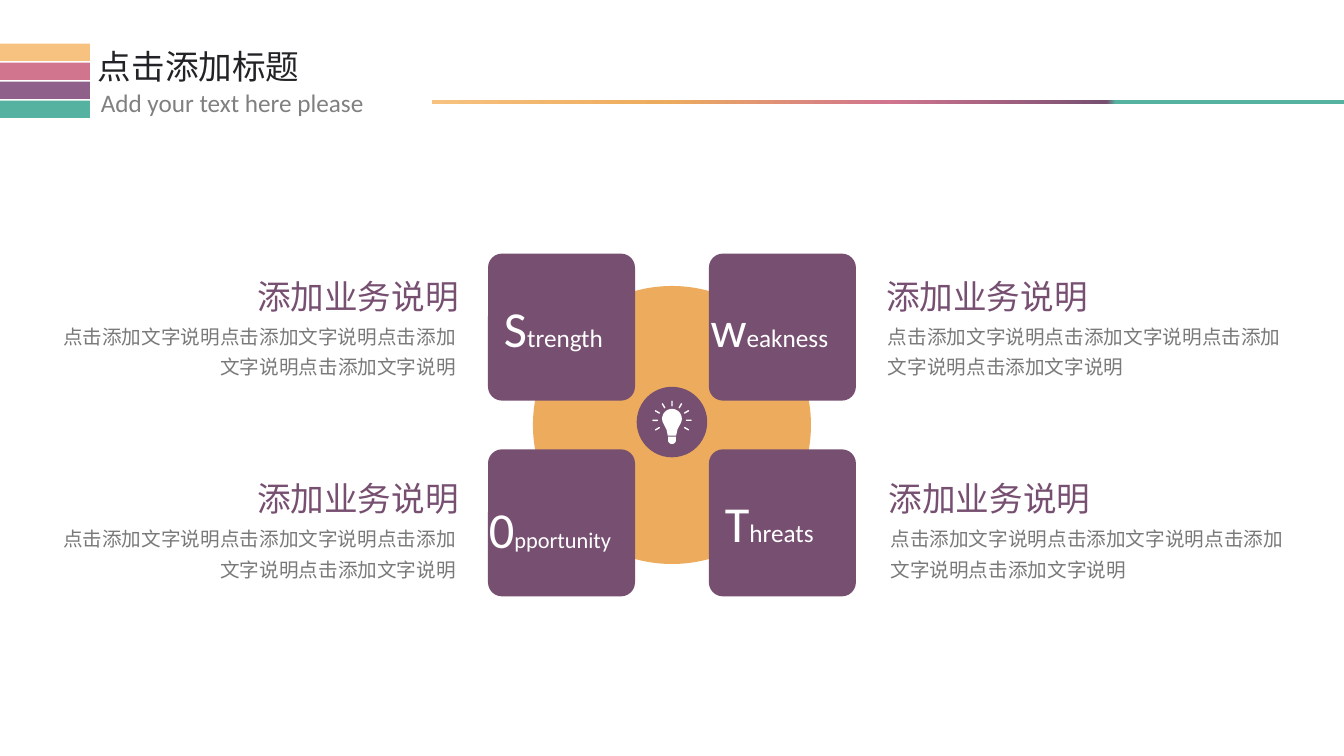
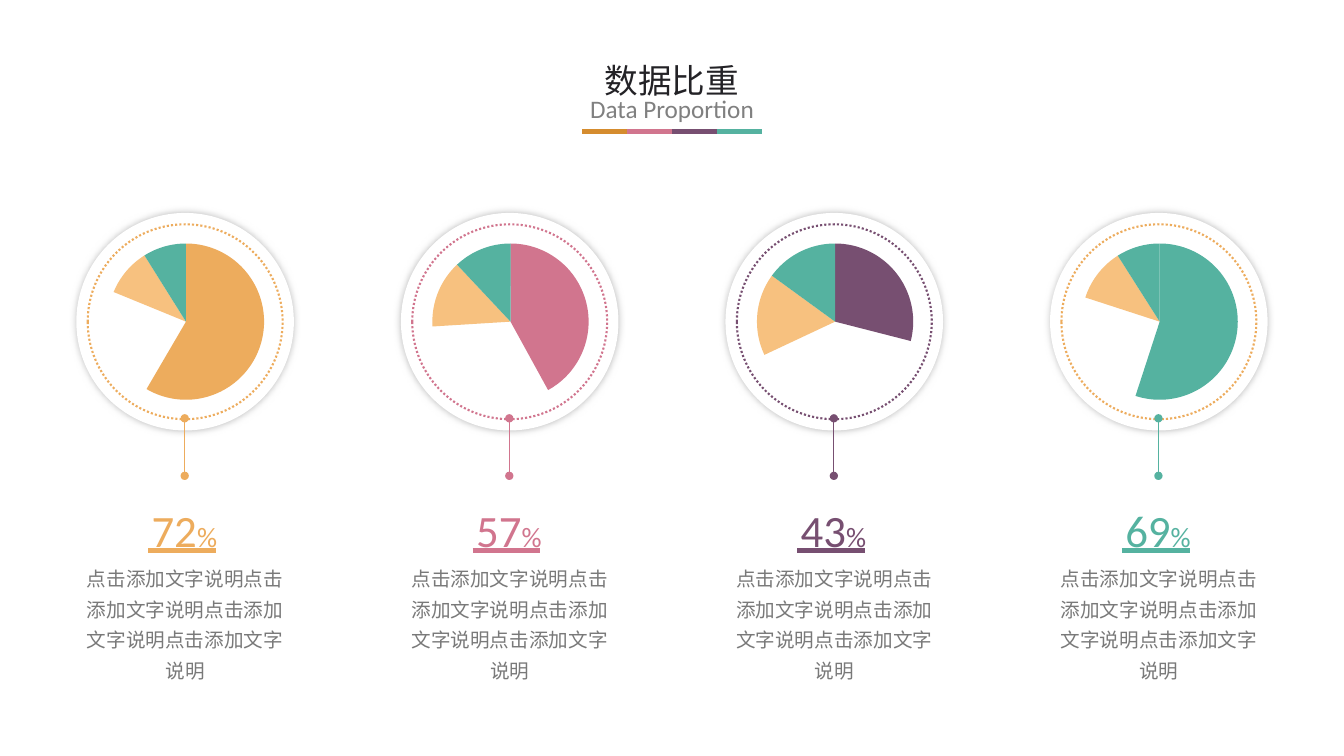
"""Builds a SWOT slide and a data proportion slide."""
import math

from lxml import etree
from pptx import Presentation
from pptx.chart.data import CategoryChartData
from pptx.dml.color import RGBColor
from pptx.enum.chart import XL_CHART_TYPE
from pptx.enum.dml import MSO_LINE
from pptx.enum.shapes import MSO_CONNECTOR, MSO_SHAPE
from pptx.enum.text import MSO_AUTO_SIZE, PP_ALIGN
from pptx.oxml.ns import qn
from pptx.util import Emu, Inches, Pt

PIE = XL_CHART_TYPE.PIE
DOTTED = MSO_LINE.ROUND_DOT
STRAIGHT = MSO_CONNECTOR.STRAIGHT
RECT, ROUNDED, OVAL = MSO_SHAPE.RECTANGLE, MSO_SHAPE.ROUNDED_RECTANGLE, MSO_SHAPE.OVAL
GROW = MSO_AUTO_SIZE.SHAPE_TO_FIT_TEXT
LEFT, CENTER, RIGHT = PP_ALIGN.LEFT, PP_ALIGN.CENTER, PP_ALIGN.RIGHT

WIDTH, HEIGHT = Inches(13.333), Inches(7.5)
COLUMNS, ROWS = 160, 90
MIDDLE = COLUMNS / 2
LATIN, HAN, CHART_FONT = "Calibri", "Noto Sans CJK SC", "Arial"
COLORS = {
    "apricot": "F7C17F", "orange": "EDAC5D", "amber": "D58C2E",
    "pink": "D1758E", "mauve": "8F608A", "purple": "774F71",
    "teal": "55B2A0", "ink": "232226", "gray": "808080",
    "body": "797979", "shadow": "BFBFBF", "white": "FFFFFF",
}
HEADING = "添加业务说明"
DESCRIPTION = "点击添加文字说明" * 4


def across(columns):
    """Turn grid columns into a length."""
    return Emu(round(WIDTH * columns / COLUMNS))


def down(rows):
    """Turn grid rows into a length."""
    return Emu(round(HEIGHT * rows / ROWS))


def frame(left, top, width, height):
    """Turn a grid area into a position and size."""
    return across(left), down(top), across(width), down(height)


def centered(x, y, width, height):
    """Return the grid area of a given size around a point."""
    return x - width / 2, y - height / 2, width, height


def rgb(color):
    """Look a colour up by name."""
    return RGBColor.from_string(COLORS[color])


def add_child(parent, tag, **attributes):
    """Append an XML element to its parent."""
    child = etree.SubElement(parent, qn(tag))
    for name, value in attributes.items():
        child.set(name, str(value))
    return child


def paint(shape, color):
    """Give a shape a plain fill without outline or shadow."""
    shape.shadow.inherit = False
    shape.line.fill.background()
    if color:
        shape.fill.solid()
        shape.fill.fore_color.rgb = rgb(color)
    else:
        shape.fill.background()
    return shape


def add_block(page, kind, area, color):
    """Add a preset shape."""
    return paint(page.shapes.add_shape(kind, *frame(*area)), color)


def add_text(page, area, spans, font, color, align=LEFT, spacing=None):
    """Add a one-paragraph text box from (text, size) spans."""
    box = page.shapes.add_textbox(*frame(*area))
    text = box.text_frame
    text.word_wrap = True
    text.auto_size = GROW
    text.margin_left = text.margin_right = Inches(0.05)
    text.margin_top = text.margin_bottom = Inches(0.05)
    para = text.paragraphs[0]
    para.alignment = align
    if spacing:
        para.line_spacing = spacing
    for words, size in spans:
        span = para.add_run()
        span.text = words
        span.font.size = Pt(size)
        span.font.color.rgb = rgb(color)
        span.font.name = font
        add_child(span.font._element, "a:ea", typeface=font)


def add_description(page, area, align):
    """Add the gray explanatory text."""
    add_text(page, area, [(DESCRIPTION, 14)], HAN, "body", align, 1.3)


def add_titles(page, title, title_area, subtitle, subtitle_area, align):
    """Add the slide title and its subtitle."""
    add_text(page, title_area, [(title, 24)], HAN, "ink", align)
    add_text(page, subtitle_area, [(subtitle, 18)], LATIN, "gray", align)


def add_line(page, start, end, color, weight, dots=False):
    """Add a straight line, with round ends when dots is set."""
    line = page.shapes.add_connector(
        STRAIGHT, across(start[0]), down(start[1]), across(end[0]), down(end[1]))
    line.line.color.rgb = rgb(color)
    line.line.width = Pt(weight)
    properties = line.element.spPr
    if dots:
        outline = properties.find(qn("a:ln"))
        add_child(outline, "a:headEnd", type="oval")
        add_child(outline, "a:tailEnd", type="oval")
    add_child(properties, "a:effectLst")


def add_rainbow(page, area, stops):
    """Add a bar with a horizontal gradient."""
    bar = add_block(page, RECT, area, None)
    bar.fill.gradient()
    bar.fill.gradient_angle = 0
    stop_list = bar.element.spPr.find(".//" + qn("a:gsLst"))
    for stop in list(stop_list):
        stop_list.remove(stop)
    for share, color in stops:
        stop = add_child(stop_list, "a:gs", pos=share * 1000)
        add_child(stop, "a:srgbClr", val=COLORS[color])


def add_outline(page, center, radius, angles, corners):
    """Add a white outline made of an arc closed through corner points."""
    x, y = center
    turns = [math.radians(angle) for angle in range(*angles, 5)]
    points = [(x + radius * math.cos(turn), y + radius * math.sin(turn)) for turn in turns]
    points += [(x + dx, y + dy) for dx, dy in corners]
    points = [(across(px), down(py)) for px, py in points]
    builder = page.shapes.build_freeform(*points[0], scale=1.0)
    builder.add_line_segments(points[1:], close=True)
    paint(builder.convert_to_shape(), "white")


def add_bulb(page):
    """Add the shining light bulb in its purple disc."""
    add_block(page, OVAL, centered(MIDDLE, 50.25, 8.4, 8.4), "purple")
    add_outline(page, (MIDDLE, 49.85), 1.17, (-210, 35), [(0.65, 1.3), (0.5, 2), (-0.5, 2), (-0.65, 1.3)])
    add_outline(page, (MIDDLE, 52.4), 0.47, (0, 185), [(-0.47, -0.42), (0.47, -0.42)])
    for angle in range(-120, 121, 30):
        turn = math.radians(angle)
        x, y = MIDDLE + 2 * math.sin(turn), 50.04 - 2 * math.cos(turn)
        ray = add_block(page, ROUNDED, centered(x, y, 0.16, 0.67), "white")
        ray.adjustments[0] = 0.5
        ray.rotation = angle


def add_card(page, left, top, label_area, initial, rest, size):
    """Add a purple card with its initial and the rest of the word."""
    card = add_block(page, ROUNDED, (left, top, 17.5, 17.5), "purple")
    card.adjustments[0] = 0.095
    add_text(page, label_area, [(initial, 36), (rest, size)], LATIN, "white")


def add_note(page, heading_left, heading_width, body_left, top, align):
    """Add a heading with the description below it."""
    add_text(page, (heading_left, top, heading_width, 6.7), [(HEADING, 24)], HAN, "purple", align)
    add_description(page, (body_left, top + 5, 50.3, 8.9), align)


def add_pie(page, area, values, colors):
    """Add a pie chart whose slices take the given colours."""
    data = CategoryChartData()
    data.categories = ["1", "2", "", ""]
    data.add_series("Series 1", values)
    chart = page.shapes.add_chart(PIE, *frame(*area), data).chart
    chart.has_legend = False
    chart.has_title = False
    chart.font.size = Pt(10)
    chart.font.name = CHART_FONT
    chart.font.color.rgb = rgb("white")
    plot = chart.plots[0]
    plot.vary_by_categories = False
    series = plot.series[0]
    parts = [series] + [series.points[index] for index in range(len(values))]
    for part, color in zip(parts, [colors[0], *colors]):
        part.format.line.fill.background()
        if color:
            part.format.fill.solid()
            part.format.fill.fore_color.rgb = rgb(color)
        else:
            part.format.fill.background()
    clear_chart_frame(chart)


def clear_chart_frame(chart):
    """Make the chart area transparent and let the plot fill it."""
    space = chart.element
    look = add_child(space, "c:spPr")
    add_child(look, "a:noFill")
    add_child(add_child(look, "a:ln"), "a:noFill")
    space.find(qn("c:chart")).addnext(look)
    plot_area = space.find(".//" + qn("c:plotArea"))
    for old in plot_area.findall(qn("c:layout")):
        plot_area.remove(old)
    layout = add_child(plot_area, "c:layout")
    manual = add_child(layout, "c:manualLayout")
    settings = [("layoutTarget", "inner"), ("xMode", "edge"), ("yMode", "edge"),
                ("x", 0.005), ("y", 0.005), ("w", 0.99), ("h", 0.99)]
    for name, value in settings:
        add_child(manual, "c:" + name, val=value)
    plot_area.insert(0, layout)


def add_gauge(page, x, percent, color, ring_color, values):
    """Add one column: pie in a dotted ring, stem, percentage and text."""
    y = 38.3
    disc = add_block(page, OVAL, centered(x, y, 25.9, 25.9), "white")
    effects = disc.element.spPr.find(qn("a:effectLst"))
    shadow = add_child(effects, "a:outerShdw", blurRad=Pt(5), dist=0, dir=0, algn="ctr", rotWithShape=0)
    add_child(shadow, "a:srgbClr", val=COLORS["shadow"])
    add_pie(page, centered(x + 0.1, y, 18.8, 18.8), values, [color, None, "apricot", "teal"])
    ring = add_block(page, OVAL, centered(x, y, 23.2, 23.2), None)
    ring.line.color.rgb = rgb(ring_color)
    ring.line.width = Pt(1.5)
    ring.line.dash_style = DOTTED
    add_line(page, (x - 0.05, 49.8), (x - 0.05, 56.65), color, 0.5, dots=True)
    add_text(page, (x - 15.3, 59.3, 30.4, 7.6), [(percent, 32), ("%", 20)], LATIN, color, CENTER)
    add_description(page, (x - 13, 66.1, 26, 17.5), CENTER)
    add_line(page, (x - 4.4, 65.5), (x + 3.65, 65.5), color, 3.75)


def build_swot(page):
    """Build the slide with the four SWOT cards."""
    for index, color in enumerate(["apricot", "pink", "mauve", "teal"]):
        add_block(page, RECT, (0, 5.2 + 2.26 * index, 10.7, 2.05), color)
    add_titles(page, "点击添加标题", (11.05, 4.9, 27.1, 6.7),
               "Add your text here please", (11.4, 9.75, 42.8, 4.9), LEFT)
    add_rainbow(page, (51.4, 11.87, COLUMNS - 51.4, 0.5), [
        (0, "apricot"), (25, "orange"), (50, "pink"), (74, "purple"), (75, "teal"), (100, "teal")])
    add_block(page, OVAL, centered(MIDDLE, 50.6, 33.1, 33.1), "orange")
    lefts, tops = (58.1, 84.4), (30.2, 53.5)
    add_card(page, lefts[0], tops[0], (59.4, 34.8, 15.6, 8.4), "S", "trength", 18)
    add_card(page, lefts[1], tops[0], (84, 34.8, 18.2, 8.4), "w", "eakness", 18)
    add_card(page, lefts[0], tops[1], (57.6, 58.7, 19.2, 8.4), "0", "pportunity", 16)
    add_card(page, lefts[1], tops[1], (85.7, 58, 14.9, 8.4), "T", "hreats", 18)
    add_bulb(page)
    for top, shift in [(32.2, 0), (56.3, 0.3)]:
        add_note(page, 104.9 + shift, 30.4, 105.1 + shift, top, LEFT)
        add_note(page, 6.5, 48.7, 4.6, top, RIGHT)


def build_proportions(page):
    """Build the slide with the four gauges."""
    add_titles(page, "数据比重", (68, 6.5, 24, 6.7),
               "Data Proportion", (67.7, 10.55, 24.6, 4.9), CENTER)
    segment = 5.33
    for index, color in enumerate(["amber", "pink", "purple", "teal"]):
        start = MIDDLE + (index - 2) * segment
        add_line(page, (start, 15.7), (start + segment, 15.7), color, 3.75)
    gauges = [
        ("72", "orange", "orange", (59, 23, 10, 9)),
        ("57", "pink", "pink", (42, 32, 14, 12)),
        ("43", "purple", "purple", (29, 39, 17, 15)),
        ("69", "teal", "orange", (55, 25, 11, 9)),
    ]
    for index, gauge in enumerate(gauges):
        add_gauge(page, MIDDLE + (index - 1.5) * 38.64, *gauge)


def main():
    """Build and save the deck."""
    deck = Presentation()
    deck.slide_width, deck.slide_height = WIDTH, HEIGHT
    for build in (build_swot, build_proportions):
        build(deck.slides.add_slide(deck.slide_layouts[6]))
    deck.save("out.pptx")


if __name__ == "__main__":
    main()
